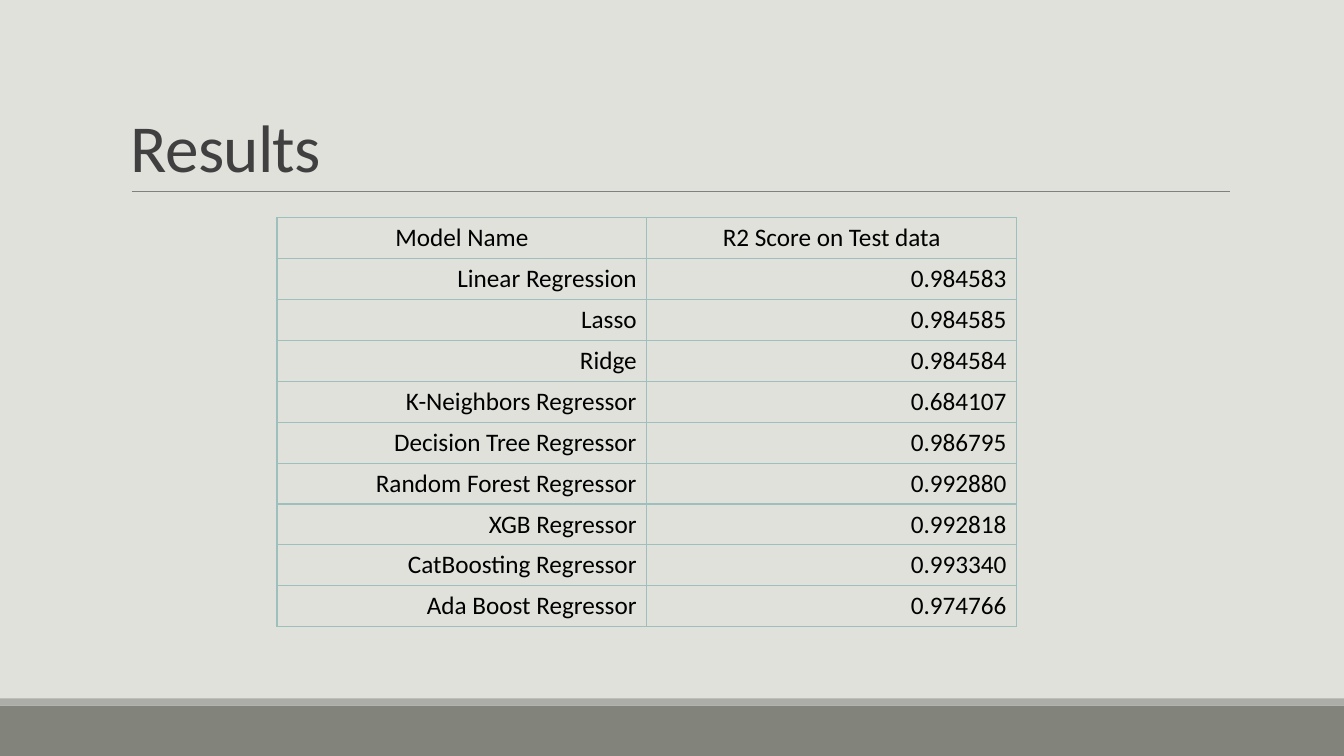
"""Build the results slide: model names and their R2 scores in a table."""
from lxml import etree
from pptx import Presentation
from pptx.dml.color import RGBColor
from pptx.enum.shapes import MSO_CONNECTOR, MSO_SHAPE
from pptx.enum.text import MSO_ANCHOR, PP_ALIGN
from pptx.oxml import parse_xml
from pptx.oxml.ns import nsdecls, qn
from pptx.util import Cm, Pt

TITLE = "Results"
HEADER = ("Model Name", "R2 Score on Test data")
SCORES = [
    ("Linear Regression", "0.984583"),
    ("Lasso", "0.984585"),
    ("Ridge", "0.984584"),
    ("K-Neighbors Regressor", "0.684107"),
    ("Decision Tree Regressor", "0.986795"),
    ("Random Forest Regressor", "0.992880"),
    ("XGB Regressor", "0.992818"),
    ("CatBoosting Regressor", "0.993340"),
    ("Ada Boost Regressor", "0.974766"),
]

FONT = "Calibri"
BACKGROUND = RGBColor(0xE1, 0xE1, 0xDB)
FOOTER = RGBColor(0x82, 0x84, 0x7C)
FOOTER_EDGE = RGBColor(0xAC, 0xAD, 0xA8)
RULE = RGBColor(0x80, 0x80, 0x80)
TITLE_COLOR = RGBColor(0x40, 0x40, 0x40)
TEXT = RGBColor(0, 0, 0)
GRID = RGBColor(0x9D, 0xBF, 0xBE)

WIDTH, HEIGHT = Cm(33.87), Cm(19.05)
FOOTER_TOP, EDGE_TOP = Cm(17.78), Cm(17.6)
RULE_Y = Cm(4.82)
COLUMN_WIDTH, ROW_HEIGHT = Cm(9.32), Cm(1.03)


def add_band(slide, top, bottom, color):
    band = slide.shapes.add_shape(MSO_SHAPE.RECTANGLE, 0, top, WIDTH, bottom - top)
    band.shadow.inherit = False
    band.fill.solid()
    band.fill.fore_color.rgb = color
    band.line.fill.background()


def add_rule(slide):
    rule = slide.shapes.add_connector(
        MSO_CONNECTOR.STRAIGHT, Cm(3.32), RULE_Y, Cm(31), RULE_Y)
    rule.line.color.rgb = RULE
    rule.line.width = Pt(0.5)
    etree.SubElement(rule._element.spPr, qn("a:effectLst"))


def write(paragraph, text, size, color):
    run = paragraph.add_run()
    run.text = text
    run.font.name = FONT
    run.font.size = Pt(size)
    run.font.color.rgb = color
    return run


def add_title(slide):
    top = Cm(0.79)
    frame = slide.shapes.add_textbox(Cm(3.05), top, Cm(27.94), RULE_Y - top).text_frame
    frame.word_wrap = True
    frame.vertical_anchor = MSO_ANCHOR.BOTTOM
    paragraph = frame.paragraphs[0]
    paragraph.line_spacing = 0.85
    run = write(paragraph, TITLE, 48, TITLE_COLOR)
    run.font._element.set("spc", "-50")


def outline(cell):
    properties = cell._tc.get_or_add_tcPr()
    for position, side in enumerate("LRTB"):
        properties.insert(position, parse_xml(
            f'<a:ln{side} {nsdecls("a")} w="{Pt(1)}"><a:solidFill>'
            f'<a:srgbClr val="{GRID}"/></a:solidFill></a:ln{side}>'))


def add_scores(slide):
    rows = [HEADER] + SCORES
    table = slide.shapes.add_table(
        len(rows), len(HEADER), Cm(6.98), Cm(5.49),
        COLUMN_WIDTH * len(HEADER), ROW_HEIGHT * len(rows)).table
    table.horz_banding = False
    table.first_row = False
    for r, values in enumerate(rows):
        for c, value in enumerate(values):
            cell = table.cell(r, c)
            cell.fill.background()
            cell.vertical_anchor = MSO_ANCHOR.MIDDLE
            paragraph = cell.text_frame.paragraphs[0]
            paragraph.alignment = PP_ALIGN.RIGHT if r else PP_ALIGN.CENTER
            write(paragraph, value, 18, TEXT)
            outline(cell)


prs = Presentation()
prs.slide_width, prs.slide_height = WIDTH, HEIGHT
results = prs.slides.add_slide(prs.slide_layouts[6])
results.background.fill.solid()
results.background.fill.fore_color.rgb = BACKGROUND
add_band(results, FOOTER_TOP, HEIGHT, FOOTER)
add_band(results, EDGE_TOP, FOOTER_TOP, FOOTER_EDGE)
add_rule(results)
add_title(results)
add_scores(results)
prs.save("out.pptx")
